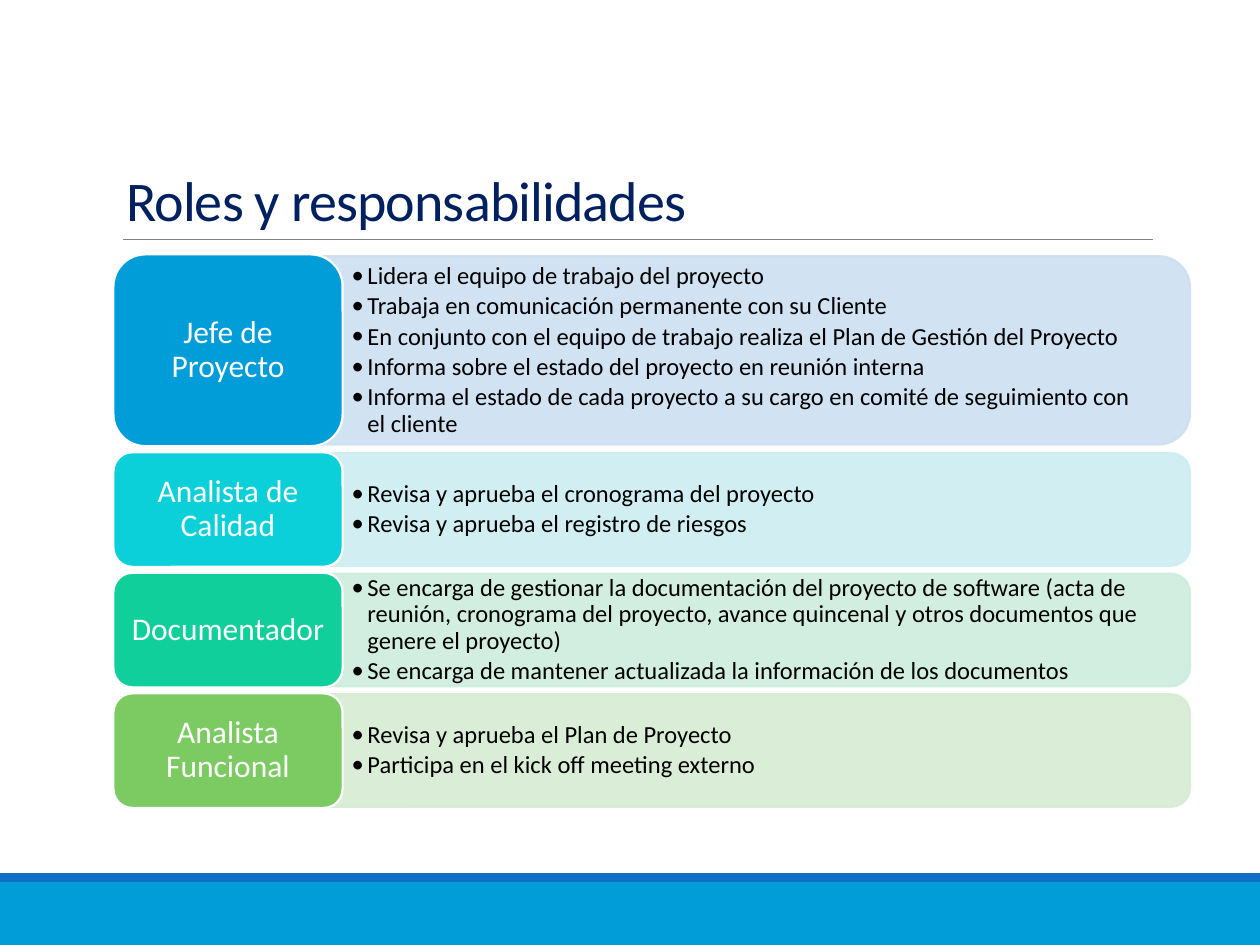
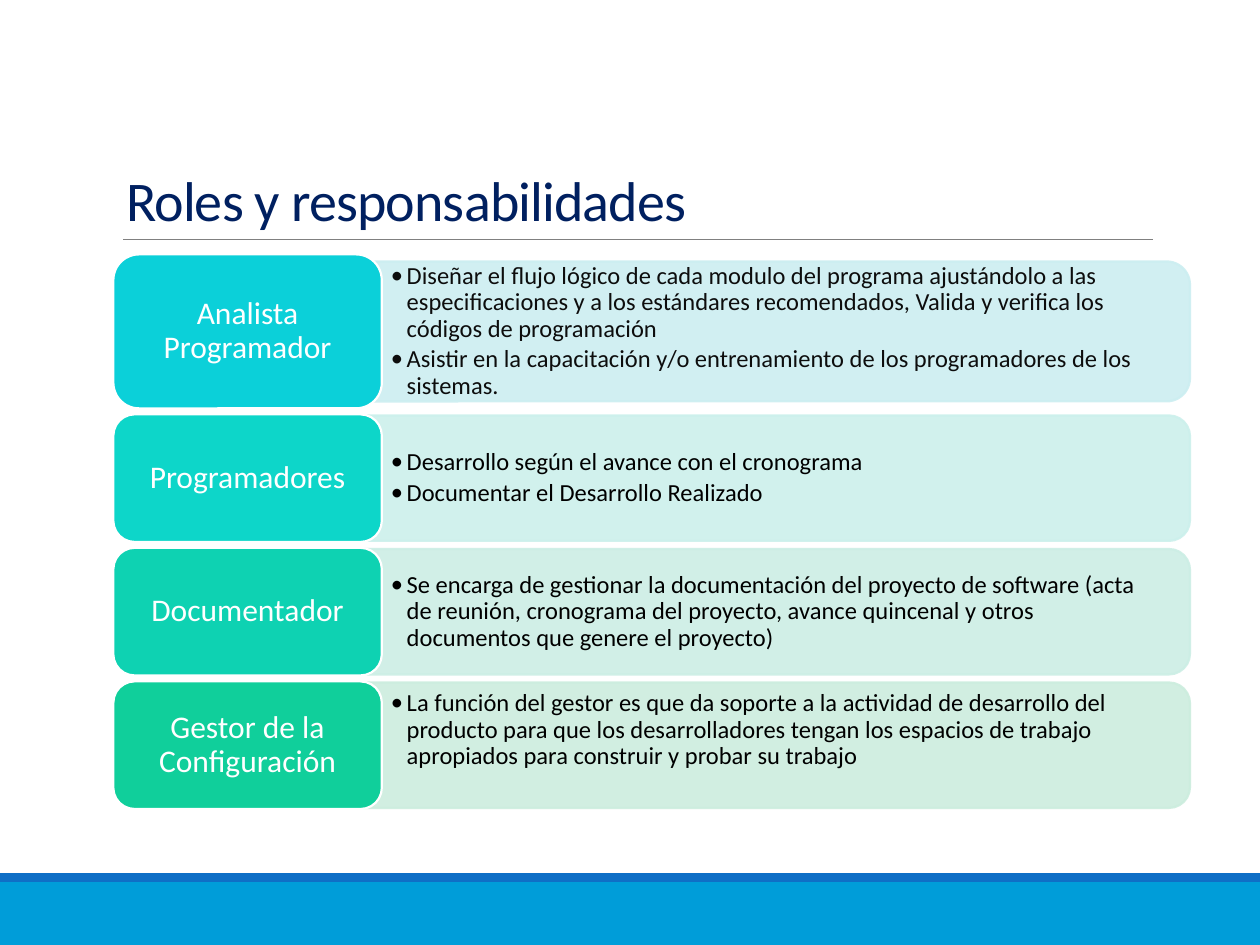
import pptx
import pptx.util
import pptx.dml.color
import pptx.enum.shapes
import pptx.enum.text
import pptx.oxml
import pptx.oxml.ns

Pt = pptx.util.Pt
RGBColor = pptx.dml.color.RGBColor
SHAPE = pptx.enum.shapes.MSO_SHAPE
ANCHOR = pptx.enum.text.MSO_ANCHOR
ALIGN = pptx.enum.text.PP_ALIGN

# Colours
WHITE = RGBColor(0xFF, 0xFF, 0xFF)
BLACK = RGBColor(0x00, 0x00, 0x00)
SOFT_BLACK = RGBColor(0x0D, 0x0D, 0x0D)
NAVY = RGBColor(0x00, 0x20, 0x60)
GRAY = RGBColor(0x80, 0x80, 0x80)
ROYAL = RGBColor(0x0F, 0x6F, 0xC6)
BLUE = RGBColor(0x00, 0x9D, 0xD9)
CYAN = RGBColor(0x0B, 0xD0, 0xD9)
TURQUOISE = RGBColor(0x0D, 0xD6, 0xC9)
TEAL = RGBColor(0x0E, 0xD2, 0xB2)
GREEN = RGBColor(0x10, 0xCF, 0x9B)
LIME = RGBColor(0x7C, 0xCA, 0x62)

# Pale band behind each role colour
TINTS = {
    BLUE: RGBColor(0xCC, 0xDF, 0xF1),
    CYAN: RGBColor(0xCC, 0xEE, 0xF1),
    TURQUOISE: RGBColor(0xCC, 0xF0, 0xEC),
    TEAL: RGBColor(0xCC, 0xEE, 0xE5),
    GREEN: RGBColor(0xCC, 0xED, 0xDE),
    LIME: RGBColor(0xD7, 0xEC, 0xD3),
}

# Lengths in points
SLIDE_WIDTH, SLIDE_HEIGHT = 720, 540
LIST_LEFT, LIST_TOP, LIST_RIGHT = 64.8, 145.4, 680
ROW_GAP = 3.4
BAND_OVERLAP = 14
FONT = "Calibri"


class RoleDeck:
    def __init__(self):
        self.prs = pptx.Presentation()
        self.prs.slide_width = Pt(SLIDE_WIDTH)
        self.prs.slide_height = Pt(SLIDE_HEIGHT)
        self.slide = None

    def start_slide(self, title):
        self.slide = self.prs.slides.add_slide(self.prs.slide_layouts[5])
        self.box(SHAPE.RECTANGLE, 0, 504, SLIDE_WIDTH, 36, BLUE)
        self.box(SHAPE.RECTANGLE, 0, 499, SLIDE_WIDTH, 5, ROYAL)
        self.rule(70.4, 658.8, 136.8)
        self.title(title)

    def title(self, text):
        heading = self.slide.shapes.title
        heading.left, heading.top = Pt(64.8), Pt(22.3)
        heading.width, heading.height = Pt(594), Pt(114.5)
        frame = heading.text_frame
        frame.auto_size = pptx.enum.text.MSO_AUTO_SIZE.NONE
        frame.vertical_anchor = ANCHOR.BOTTOM
        paragraph = frame.paragraphs[0]
        paragraph.alignment = ALIGN.LEFT
        paragraph.line_spacing = 0.85
        run = self.run(paragraph, text, 32, NAVY)
        run.font._element.set("spc", "-50")

    def rule(self, left, right, y):
        line = self.slide.shapes.add_connector(
            pptx.enum.shapes.MSO_CONNECTOR.STRAIGHT, Pt(left), Pt(y), Pt(right), Pt(y))
        line.line.color.rgb = GRAY
        line.line.width = Pt(0.5)
        self.append_xml(line._element.spPr, "effectLst")

    def append_xml(self, parent, tag, **attributes):
        child = pptx.oxml.parse_xml(f"<a:{tag} {pptx.oxml.ns.nsdecls('a')}/>")
        for key, value in attributes.items():
            child.set(key, value)
        parent.append(child)

    def box(self, kind, left, top, width, height, fill, outline=None):
        shape = self.slide.shapes.add_shape(kind, Pt(left), Pt(top), Pt(width), Pt(height))
        shape.shadow.inherit = False
        shape.fill.solid()
        shape.fill.fore_color.rgb = fill
        if outline is None:
            shape.line.fill.background()
        else:
            shape.line.color.rgb = outline
            shape.line.width = Pt(1.25)
        return shape

    def run(self, paragraph, text, size, color):
        run = paragraph.add_run()
        run.text = text
        run.font.name, run.font.size = FONT, Pt(size)
        run.font.color.rgb = color
        return run

    def frame(self, shape, side, edge):
        frame = shape.text_frame
        frame.word_wrap = True
        frame.vertical_anchor = ANCHOR.MIDDLE
        frame.margin_left = frame.margin_right = Pt(side)
        frame.margin_top = frame.margin_bottom = Pt(edge)
        return frame

    def band(self, left, middle, height, color):
        # A quarter turn puts the rounded corners on the right
        width = LIST_RIGHT - left
        band = self.box(SHAPE.ROUND_2_SAME_RECTANGLE, left + (width - height) / 2,
                        middle - width / 2, height, width, color, color)
        band.rotation = 90
        for tone in band._element.spPr.iter(pptx.oxml.ns.qn("a:srgbClr")):
            self.append_xml(tone, "alpha", val="90000")

    def duties(self, left, top, height, texts, color):
        box = self.slide.shapes.add_textbox(
            Pt(left), Pt(top), Pt(LIST_RIGHT - 3 - left), Pt(height))
        frame = self.frame(box, 19.2, 9.6)
        for i, text in enumerate(texts):
            paragraph = frame.paragraphs[0] if i == 0 else frame.add_paragraph()
            paragraph.line_spacing = 0.9
            paragraph.space_after = Pt(2.2)
            props = paragraph._p.get_or_add_pPr()
            props.set("marL", str(Pt(9)))
            props.set("indent", str(-Pt(9)))
            self.append_xml(props, "buFont", typeface=FONT)
            self.append_xml(props, "buChar", char="•")
            self.run(paragraph, text, 14, color)

    def label(self, top, width, height, text, color):
        label = self.box(SHAPE.ROUNDED_RECTANGLE, LIST_LEFT, top, width, height, color, WHITE)
        paragraph = self.frame(label, 5, 3).paragraphs[0]
        paragraph.alignment = ALIGN.CENTER
        paragraph.line_spacing = 0.9
        self.run(paragraph, text, 18, WHITE)

    def role_list(self, roles, label_width, first_height, other_height, first_trim):
        """Stack the roles: a taller first row, then equal rows."""
        top = LIST_TOP
        left = LIST_LEFT + label_width - BAND_OVERLAP
        for i, (name, color, texts, ink, lift) in enumerate(roles):
            height, trim = (other_height, 1.2) if i else (first_height, first_trim)
            self.band(left, top + height / 2, height - trim, TINTS[color])
            self.duties(left, top + 4 - lift, height - 8, texts, ink)
            self.label(top, label_width, height, name, color)
            top += height + ROW_GAP


DOCUMENTATION = ("Se encarga de gestionar la documentación del proyecto de software (acta de "
                 "reunión, cronograma del proyecto, avance quincenal y otros documentos que "
                 "genere el proyecto)")

# Each role: name, colour, duties, text colour, upward shift of the duties
MANAGEMENT_ROLES = [
    ("Jefe de Proyecto", BLUE, [
        "Lidera el equipo de trabajo del proyecto",
        "Trabaja en comunicación permanente con su Cliente",
        "En conjunto con el equipo de trabajo realiza el Plan de Gestión del Proyecto",
        "Informa sobre el estado del proyecto en reunión interna",
        "Informa el estado de cada proyecto a su cargo en comité de seguimiento con el cliente",
    ], BLACK, 0),
    ("Analista de Calidad", CYAN, [
        "Revisa y aprueba el cronograma del proyecto",
        "Revisa y aprueba el registro de riesgos",
    ], BLACK, 0),
    ("Documentador", GREEN, [
        DOCUMENTATION,
        "Se encarga de mantener actualizada la información de los documentos",
    ], BLACK, 0),
    ("Analista Funcional", LIME, [
        "Revisa y aprueba el Plan de Proyecto",
        "Participa en el kick off meeting externo",
    ], BLACK, 0),
]

DEVELOPMENT_ROLES = [
    ("Analista Programador", CYAN, [
        "Diseñar el flujo lógico de cada modulo del programa ajustándolo a las "
        "especificaciones y a los estándares recomendados, Valida y verifica los "
        "códigos de programación",
        "Asistir en la capacitación y/o entrenamiento de los programadores de los sistemas.",
    ], SOFT_BLACK, 0),
    ("Programadores", TURQUOISE, [
        "Desarrollo según el avance con el cronograma",
        "Documentar el Desarrollo Realizado",
    ], BLACK, 0),
    ("Documentador", TEAL, [DOCUMENTATION], BLACK, 0),
    ("Gestor de la Configuración", GREEN, [
        "La función del gestor es que da soporte a la actividad de desarrollo del "
        "producto para que los desarrolladores tengan los espacios de trabajo "
        "apropiados para construir y probar su trabajo",
    ], BLACK, 8.6),
]


def main():
    deck = RoleDeck()

    # Management and quality roles
    deck.start_slide("Roles y responsabilidades")
    deck.role_list(MANAGEMENT_ROLES, 131, 109.6, 65.5, first_trim=2)

    # Development roles
    deck.start_slide("Roles y responsabilidades")
    deck.role_list(DEVELOPMENT_ROLES, 153.4, 88, 72.9, first_trim=8)

    deck.prs.save("out.pptx")


if __name__ == "__main__":
    main()
